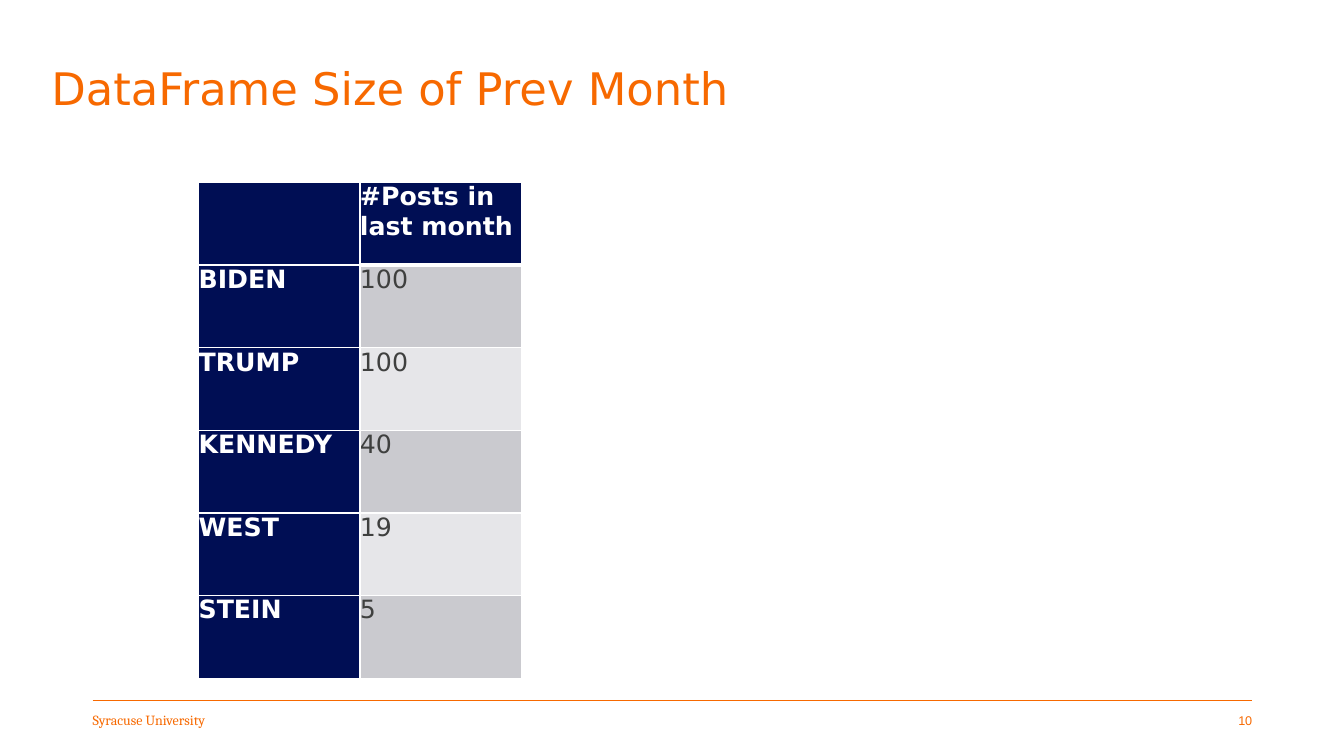
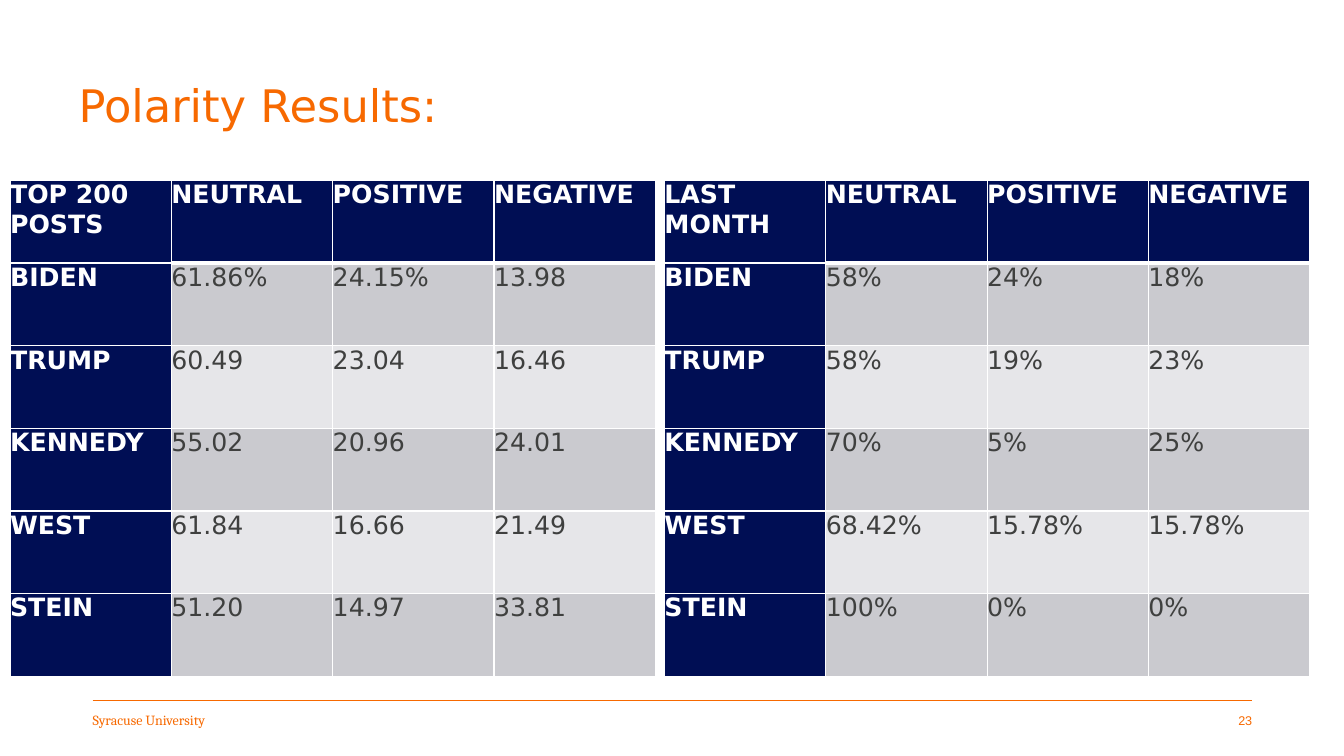
import pptx
import pptx.dml.color
import pptx.enum.shapes
import pptx.enum.text
import pptx.oxml
import pptx.oxml.ns
import pptx.util
from dataclasses import dataclass

Inches = pptx.util.Inches
Pt = pptx.util.Pt
Align = pptx.enum.text.PP_ALIGN
Anchor = pptx.enum.text.MSO_ANCHOR


@dataclass(frozen=True)
class Theme:
    orange: str = "F76900"
    navy: str = "000E54"
    white: str = "FFFFFF"
    ink: str = "3F403F"
    bands: tuple = ("CACACF", "E6E6E9")
    body_font: str = "DejaVu Sans"
    footer_font: str = "Cambria"
    number_font: str = "Arial"
    title_size: int = 32
    table_size: int = 18
    footer_size: int = 10
    number_size: int = 9
    rule_weight: float = 0.5
    border: int = 1
    header_border: int = 3


def rgb(color):
    return pptx.dml.color.RGBColor.from_string(color)


class Deck:
    CELL_W, CELL_H = 1.6, 0.82
    LEFT, RIGHT = 0.92, 12.42

    def __init__(self, theme):
        self.theme = theme
        self.prs = pptx.Presentation()
        self.prs.slide_width = Inches(13.33)
        self.prs.slide_height = Inches(7.5)
        self.slide = None

    def add_slide(self, title, left, top, number):
        t = self.theme
        self.slide = self.prs.slides.add_slide(self.prs.slide_layouts[6])
        self.rule(6.95)
        self.text("Syracuse University", self.LEFT, 7.07, 3, 0.15,
                  t.footer_font, t.footer_size)
        self.text(str(number), self.RIGHT - 1, 7.07, 1, 0.15,
                  t.number_font, t.number_size, Align.RIGHT)
        self.text(title, left, top, 11.5, 1.45,
                  t.body_font, t.title_size, spacing=0.9)

    def rule(self, y):
        line = self.slide.shapes.add_connector(
            pptx.enum.shapes.MSO_CONNECTOR.STRAIGHT,
            Inches(self.LEFT), Inches(y), Inches(self.RIGHT), Inches(y))
        line.line.color.rgb = rgb(self.theme.orange)
        line.line.width = Pt(self.theme.rule_weight)
        pptx.oxml.ns.qn("a:effectLst")
        line._element.spPr.append(pptx.oxml.parse_xml(
            f'<a:effectLst {pptx.oxml.ns.nsdecls("a")}/>'))

    def text(self, words, x, y, w, h, font, size, align=Align.LEFT, spacing=1.0):
        sp = self.slide.shapes.add_textbox(Inches(x), Inches(y), Inches(w), Inches(h))
        tf = sp.text_frame
        tf.word_wrap = True
        tf.vertical_anchor = Anchor.MIDDLE
        tf.margin_left = tf.margin_right = tf.margin_top = tf.margin_bottom = 0
        p = tf.paragraphs[0]
        p.alignment = align
        p.line_spacing = spacing
        self.run(p, words, font, size, self.theme.orange)

    def run(self, p, words, font, size, color, bold=False):
        r = p.add_run()
        r.text = words
        r.font.name = font
        r.font.size = Pt(size)
        r.font.bold = bold
        r.font.color.rgb = rgb(color)

    def table(self, x, y, rows):
        """Draw rows with a navy header row and first column."""
        n_rows, n_cols = len(rows), len(rows[0])
        table = self.slide.shapes.add_table(
            n_rows, n_cols, Inches(x), Inches(y),
            Inches(self.CELL_W * n_cols), Inches(self.CELL_H * n_rows)).table
        for column in table.columns:
            column.width = Inches(self.CELL_W)
        for row in table.rows:
            row.height = Inches(self.CELL_H)
        for i, row in enumerate(rows):
            for j, words in enumerate(row):
                self.cell(table.cell(i, j), words, i, j)

    def cell(self, cell, words, i, j):
        t = self.theme
        heading = i == 0 or j == 0
        cell.margin_left = cell.margin_right = 0
        cell.margin_top = cell.margin_bottom = 0
        cell.vertical_anchor = Anchor.TOP
        self.borders(cell, top=i == 1 and j > 0, bottom=i == 0 and j > 0)
        cell.fill.solid()
        cell.fill.fore_color.rgb = rgb(t.navy if heading else t.bands[(i - 1) % 2])
        if words:
            self.run(cell.text_frame.paragraphs[0], words, t.body_font,
                     t.table_size, t.white if heading else t.ink, heading)

    def borders(self, cell, top, bottom):
        """Draw white cell edges; top and bottom tell which are heavy."""
        t = self.theme
        tcPr = cell._tc.get_or_add_tcPr()
        for side, heavy in (("L", False), ("R", False), ("T", top), ("B", bottom)):
            width = Pt(t.header_border if heavy else t.border)
            tcPr.append(pptx.oxml.parse_xml(
                f'<a:ln{side} {pptx.oxml.ns.nsdecls("a")} w="{width}"><a:solidFill>'
                f'<a:srgbClr val="{t.white}"/></a:solidFill></a:ln{side}>'))


NAMES = ("BIDEN", "TRUMP", "KENNEDY", "WEST", "STEIN")
POLARITIES = ("NEUTRAL", "POSITIVE", "NEGATIVE")
POST_COUNTS = (("100",), ("100",), ("40",), ("19",), ("5",))
TOP_POSTS = (
    ("61.86%", "24.15%", "13.98"),
    ("60.49", "23.04", "16.46"),
    ("55.02", "20.96", "24.01"),
    ("61.84", "16.66", "21.49"),
    ("51.20", "14.97", "33.81"),
)
LAST_MONTH = (
    ("58%", "24%", "18%"),
    ("58%", "19%", "23%"),
    ("70%", "5%", "25%"),
    ("68.42%", "15.78%", "15.78%"),
    ("100%", "0%", "0%"),
)


def by_name(corner, headings, values):
    """Join the headings and the names to the values."""
    return [(corner, *headings)] + [(n, *v) for n, v in zip(NAMES, values)]


def main():
    deck = Deck(Theme())
    deck.add_slide("DataFrame Size of Prev Month", 0.51, 0.18, 10)
    deck.table(1.97, 1.81, by_name("", ("#Posts in last month",), POST_COUNTS))

    deck.add_slide("Polarity Results:", 0.78, 0.35, 23)
    deck.table(6.59, 1.79, by_name("LAST MONTH", POLARITIES, LAST_MONTH))
    deck.table(0.1, 1.79, by_name("TOP 200 POSTS", POLARITIES, TOP_POSTS))
    deck.prs.save("out.pptx")


if __name__ == "__main__":
    main()
